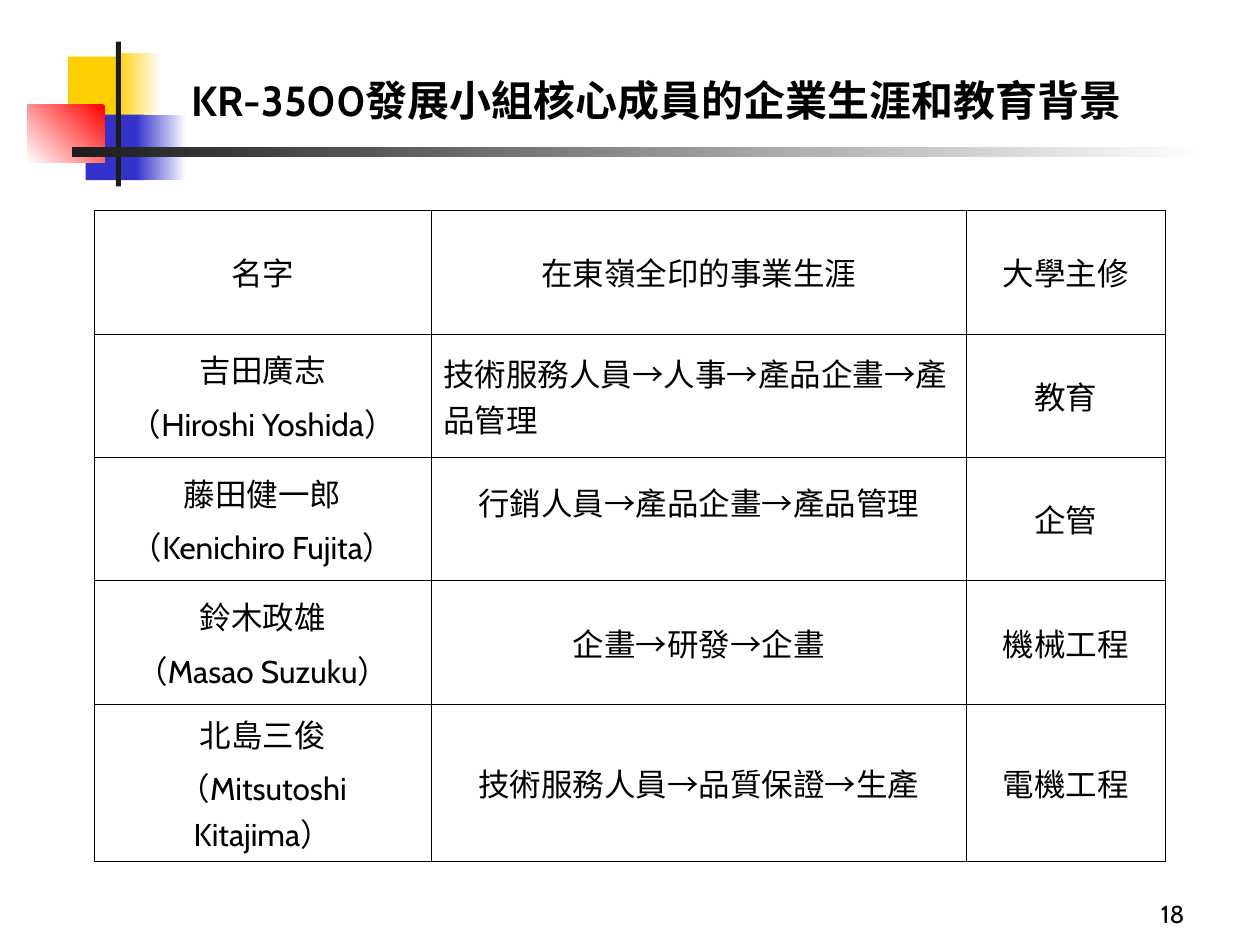
from dataclasses import dataclass

from pptx import Presentation
from pptx.dml.color import RGBColor
from pptx.enum.shapes import MSO_SHAPE
from pptx.enum.text import MSO_ANCHOR, MSO_AUTO_SIZE, PP_ALIGN
from pptx.oxml.ns import qn
from pptx.util import Inches, Pt
from lxml import etree

RECTANGLE = MSO_SHAPE.RECTANGLE
MIDDLE, BOTTOM = MSO_ANCHOR.MIDDLE, MSO_ANCHOR.BOTTOM
LEFT, CENTER, RIGHT = PP_ALIGN.LEFT, PP_ALIGN.CENTER, PP_ALIGN.RIGHT
NO_AUTOFIT = MSO_AUTO_SIZE.NONE


@dataclass(frozen=True)
class Theme:
    """Colours, font, type sizes and rule widths of the slide."""
    font: str = "Cabin"
    text: str = "000000"
    white: str = "FFFFFF"
    yellow: str = "FFCF01"
    blue: str = "3333CC"
    red: str = "FF0000"
    dark: str = "1C1C1C"
    title_size: int = 24
    table_size: int = 18
    number_size: int = 14
    paragraph_gap: float = 4.5
    outer_rule: float = 1.08
    inner_rule: float = 0.45


THEME = Theme()

ORNAMENT = [
    ((0.54, 0.45, 0.48, 0.52), (THEME.yellow,), 0),
    ((0.92, 0.42, 0.36, 0.52), (THEME.white, THEME.yellow), 180),
    ((0.68, 0.91, 0.46, 0.52), (THEME.blue,), 0),
    ((1.08, 0.91, 0.4, 0.52), (THEME.white, THEME.blue), 180),
    ((0.22, 0.83, 0.61, 0.46), (THEME.red, THEME.white), 225),
    ((0.92, 0.33, 0.04, 1.15), (THEME.dark,), 0),
    ((0.57, 1.17, 9, 0.08), (THEME.white, THEME.dark), 180),
]

TITLE = "KR-3500發展小組核心成員的企業生涯和教育背景"
MEMBERS = [
    ("名字", "在東嶺全印的事業生涯", "大學主修"),
    ("吉田廣志\n（Hiroshi Yoshida）", "技術服務人員→人事→產品企畫→產品管理", "教育"),
    ("藤田健一郎\n（Kenichiro Fujita）", "行銷人員→產品企畫→產品管理", "企管"),
    ("鈴木政雄\n（Masao Suzuku）", "企畫→研發→企畫", "機械工程"),
    ("北島三俊\n（Mitsutoshi Kitajima）", "技術服務人員→品質保證→生產", "電機工程"),
]
COLUMN_WIDTHS = [2.67, 4.25, 1.58]
ROW_HEIGHTS = [0.98] * 4 + [1.07]
YOSHIDA_CAREER, FUJITA_CAREER = (1, 1), (2, 1)


def write_text(frame, text, *, size, align=LEFT, bold=False, gap=0):
    """Fill a text frame with one paragraph per line of text."""
    frame.word_wrap = True
    for index, line in enumerate(text.split("\n")):
        paragraph = frame.add_paragraph() if index else frame.paragraphs[0]
        paragraph.alignment = align
        paragraph.space_before = Pt(gap if index else 0)
        run = paragraph.add_run()
        run.text = line
        run.font.name = THEME.font
        run.font.size = Pt(size)
        run.font.bold = bold
        run.font.color.rgb = RGBColor.from_string(THEME.text)


def add_block(slide, box, colors, angle):
    """Add a borderless rectangle with a plain or two-colour fill."""
    block = slide.shapes.add_shape(RECTANGLE, *map(Inches, box))
    block.shadow.inherit = False
    block.line.fill.background()
    if len(colors) == 1:
        block.fill.solid()
        block.fill.fore_color.rgb = RGBColor.from_string(colors[0])
        return
    block.fill.gradient()
    block.fill.gradient_angle = angle
    for stop, color in zip(block.fill.gradient_stops, colors):
        stop.color.rgb = RGBColor.from_string(color)


def add_title(slide):
    """Place the heading in the title placeholder."""
    title = slide.shapes.title
    title.left, title.top = Inches(1.42), Inches(0.5)
    title.width, title.height = Inches(7.83), Inches(0.58)
    title.text_frame.auto_size = NO_AUTOFIT
    title.text_frame.vertical_anchor = MIDDLE
    write_text(title.text_frame, TITLE, size=THEME.title_size, bold=True)


def rule_cell(cell, outer_sides):
    """Draw the four cell borders, heavier on the table's outer sides."""
    properties = cell._tc.get_or_add_tcPr()
    for side in "LRTB":
        width = THEME.outer_rule if side in outer_sides else THEME.inner_rule
        line = etree.SubElement(properties, qn(f"a:ln{side}"), w=str(Pt(width)))
        fill = etree.SubElement(line, qn("a:solidFill"))
        etree.SubElement(fill, qn("a:srgbClr"), val=THEME.text)


def add_members_table(slide):
    """Add the table of members, careers and majors."""
    last_row, last_column = len(MEMBERS) - 1, len(COLUMN_WIDTHS) - 1
    table = slide.shapes.add_table(
        len(MEMBERS), len(COLUMN_WIDTHS), Inches(0.75), Inches(1.67),
        Inches(sum(COLUMN_WIDTHS)), Inches(sum(ROW_HEIGHTS))).table
    table.first_row = table.horz_banding = False
    for column, width in zip(table.columns, COLUMN_WIDTHS):
        column.width = Inches(width)
    for row, height in zip(table.rows, ROW_HEIGHTS):
        row.height = Inches(height)
    for row, member in enumerate(MEMBERS):
        for column, text in enumerate(member):
            cell = table.cell(row, column)
            edges = {"L": column == 0, "R": column == last_column,
                     "T": row == 0, "B": row == last_row}
            rule_cell(cell, [side for side, outer in edges.items() if outer])
            cell.fill.background()
            cell.vertical_anchor = MIDDLE
            align = LEFT if (row, column) == YOSHIDA_CAREER else CENTER
            write_text(cell.text_frame, text, size=THEME.table_size,
                       align=align, gap=THEME.paragraph_gap)
    table.cell(*FUJITA_CAREER).margin_bottom = Inches(0.33)


def add_slide_number(slide):
    """Add the slide number at the lower right."""
    number = slide.shapes.add_textbox(*map(Inches, (7.42, 6.92, 2.08, 0.5)))
    number.text_frame.vertical_anchor = BOTTOM
    write_text(number.text_frame, "18", size=THEME.number_size, align=RIGHT)


def main():
    """Build and save the slide."""
    presentation = Presentation()
    presentation.slide_width, presentation.slide_height = Inches(10), Inches(7.5)
    slide = presentation.slides.add_slide(presentation.slide_layouts[5])
    for box, colors, angle in ORNAMENT:
        add_block(slide, box, colors, angle)
    add_title(slide)
    add_members_table(slide)
    add_slide_number(slide)
    presentation.save("out.pptx")


if __name__ == "__main__":
    main()
